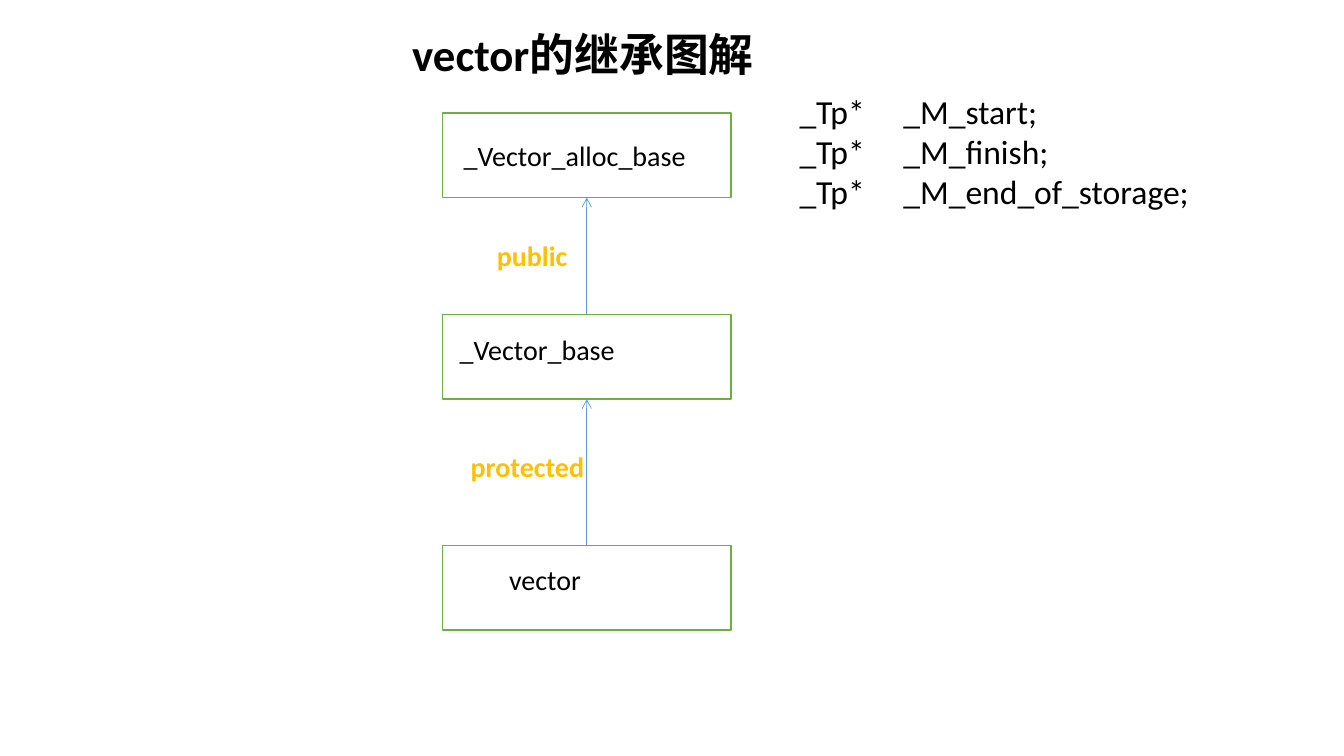
from dataclasses import dataclass

from lxml import etree
from pptx import Presentation
from pptx import util as u
from pptx.dml.color import RGBColor
from pptx.enum import shapes, text
from pptx.oxml import ns


@dataclass(frozen=True)
class Theme:
    font: str = "Calibri"
    ink: str = "000000"
    paper: str = "FFFFFF"
    box_line: str = "70AD47"
    arrow: str = "5B9BD5"
    access: str = "FFC000"
    title_size: int = 32
    member_size: int = 24
    label_size: int = 20


def write_text(paragraph, content, *, font, size, color, bold=False):
    run = paragraph.add_run()
    run.text = content
    run.font.name = font
    run.font.size = u.Pt(size)
    run.font.bold = bold
    run.font.color.rgb = RGBColor.from_string(color)


class Diagram:
    def __init__(self, slide, theme):
        self.slide = slide
        self.theme = theme

    def box(self, left, top, width, height):
        shape = self.slide.shapes.add_shape(
            shapes.MSO_SHAPE.RECTANGLE,
            *map(u.Inches, (left, top, width, height)))
        shape.shadow.inherit = False
        shape.fill.solid()
        shape.fill.fore_color.rgb = RGBColor.from_string(self.theme.paper)
        shape.line.color.rgb = RGBColor.from_string(self.theme.box_line)
        shape.line.width = u.Pt(1)

    def label(self, lines, left, top, width, height, *, size=None, color=None,
              bold=False, inset=0.1, tab=None):
        shape = self.slide.shapes.add_textbox(
            *map(u.Inches, (left, top, width, height)))
        frame = shape.text_frame
        frame.word_wrap = True
        frame.auto_size = text.MSO_AUTO_SIZE.SHAPE_TO_FIT_TEXT
        frame.margin_left = u.Inches(inset)
        for index, line in enumerate(lines):
            paragraph = frame.add_paragraph() if index else frame.paragraphs[0]
            write_text(paragraph, line, font=self.theme.font, bold=bold,
                       size=size or self.theme.label_size,
                       color=color or self.theme.ink)
            if tab:
                properties = paragraph._p.get_or_add_pPr()
                stops = etree.SubElement(properties, ns.qn("a:tabLst"))
                etree.SubElement(stops, ns.qn("a:tab"),
                                 pos=str(u.Inches(tab)), algn="l")

    def arrow(self, x, start, end):
        connector = self.slide.shapes.add_connector(
            shapes.MSO_CONNECTOR.STRAIGHT,
            *map(u.Inches, (x, start, x, end)))
        connector.line.color.rgb = RGBColor.from_string(self.theme.arrow)
        connector.line.width = u.Pt(0.5)
        line = connector.line._get_or_add_ln()
        etree.SubElement(line, ns.qn("a:tailEnd"), type="arrow")
        etree.SubElement(connector._element.spPr, ns.qn("a:effectLst"))


def main():
    presentation = Presentation()
    presentation.slide_width = u.Inches(13.33)
    presentation.slide_height = u.Inches(7.5)
    slide = presentation.slides.add_slide(presentation.slide_layouts[6])
    theme = Theme()
    diagram = Diagram(slide, theme)

    # Class boxes, base class first
    box_left, box_width, box_height = 4.39, 2.86, 0.84
    box_tops = (1.12, 3.12, 5.41)
    for top in box_tops:
        diagram.box(box_left, top, box_width, box_height)

    # Class names
    for name, left, top, width in (("vector", 4.95, 5.53, 1.98),
                                   ("_Vector_base", 4.46, 3.25, 2.55),
                                   ("_Vector_alloc_base", 4.5, 1.32, 2.55)):
        diagram.label([name], left, top, width, 0.44)

    # Inheritance arrows, from each class up to its base
    center = box_left + box_width / 2
    for base_top, derived_top in zip(box_tops, box_tops[1:]):
        diagram.arrow(center, derived_top, base_top + box_height)

    # Title
    diagram.label(["vector的继承图解"], 3.99, 0.22, 6.86, 0.64,
                  size=theme.title_size, bold=True)

    # Data members of the base class
    members = ("_M_start", "_M_finish", "_M_end_of_storage")
    diagram.label([f"_Tp*\t{member};" for member in members],
                  7.68, 0.85, 4.46, 1.31,
                  size=theme.member_size, inset=0.25, tab=1.03)

    # Access specifiers
    for access, left, top in (("protected", 4.57, 4.41),
                              ("public", 4.83, 2.32)):
        diagram.label([access], left, top, 1.63, 0.44,
                      color=theme.access, bold=True)

    presentation.save("out.pptx")


if __name__ == "__main__":
    main()
